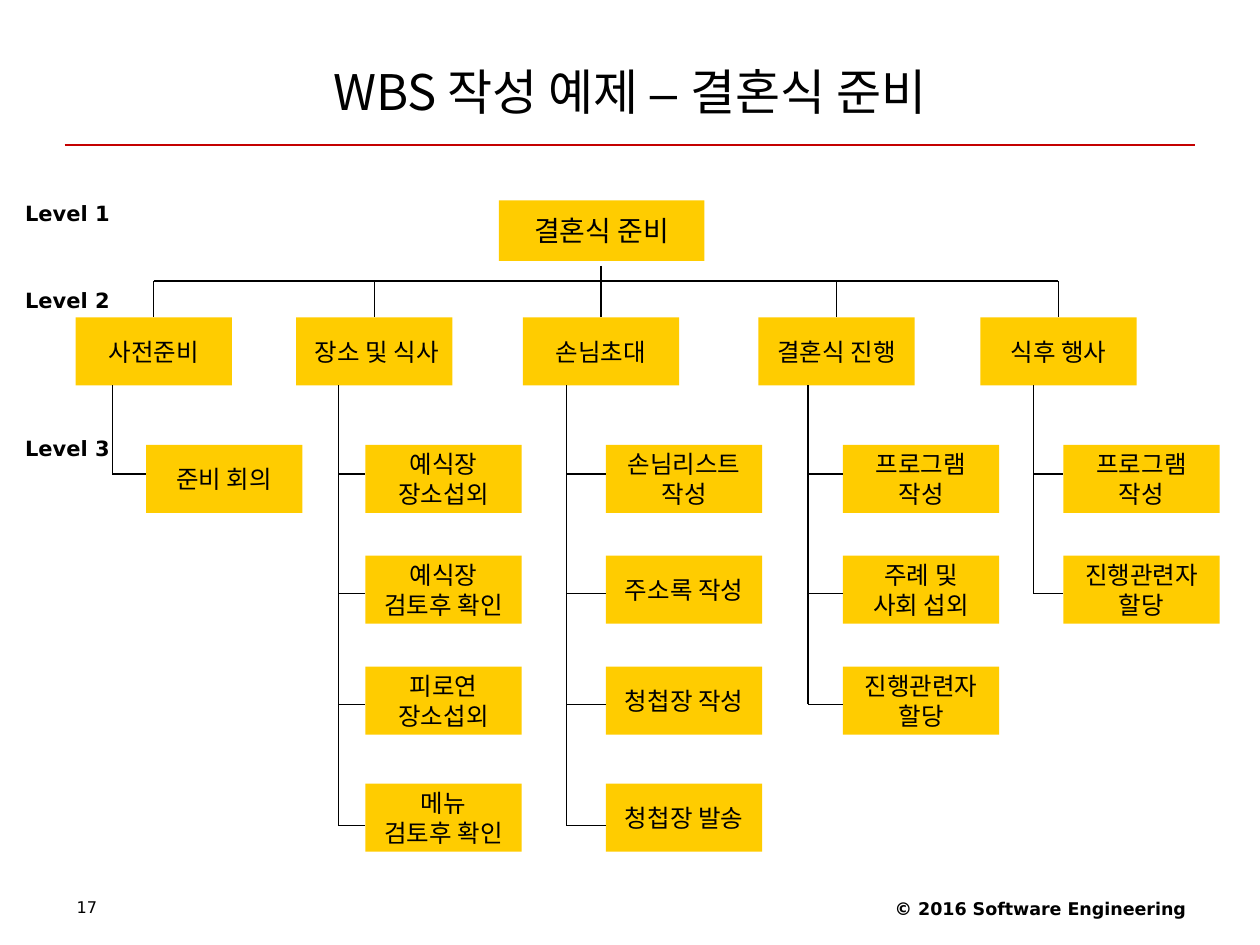
from lxml import etree
from pptx import Presentation
from pptx.dml.color import RGBColor
from pptx.enum.shapes import MSO_CONNECTOR, MSO_SHAPE
from pptx.enum.text import MSO_ANCHOR, PP_ALIGN
from pptx.oxml.ns import qn
from pptx.util import Pt

STRAIGHT = MSO_CONNECTOR.STRAIGHT
RECTANGLE = MSO_SHAPE.RECTANGLE
LEFT, CENTER, RIGHT = PP_ALIGN.LEFT, PP_ALIGN.CENTER, PP_ALIGN.RIGHT
TOP, MIDDLE = MSO_ANCHOR.TOP, MSO_ANCHOR.MIDDLE
TOP_SITE = 0

COLORS = {"text": "000000", "box": "FFCC00", "line": "000000", "rule": "C40000"}
KOREAN, LATIN, DASH = "Noto Sans CJK KR", "DejaVu Sans", "Arial"

BOX_W, BOX_H = 89.3, 38.9
HEAD_TOP = 181.4
BAR_Y, STEM_TOP = 160.6, 151.9
TASK_TOPS = [254.2, 317.5, 380.9, 447.8]
BRANCH_YS = [270.8, 339, 402.5, 471.8]

# phase, left of phase, x of trunk, left of tasks, tasks
PHASES = [
    ("사전준비", 43.2, 64.2, 83.5, ["준비 회의"]),
    (" 장소 및 식사", 169.2, 193.5, 208.8,
     ["예식장\n장소섭외", "예식장\n검토후 확인", "피로연\n장소섭외", "메뉴\n검토후 확인"]),
    ("손님초대", 298.8, 323.6, 346.3,
     ["손님리스트\n작성", "주소록 작성", "청첩장 작성", "청첩장 발송"]),
    ("결혼식 진행", 433.4, 461.8, 481.7,
     ["프로그램\n작성", "주례 및\n사회 섭외", "진행관련자\n할당"]),
    ("식후 행사", 560.2, 590.4, 607.7, ["프로그램\n작성", "진행관련자\n할당"]),
]
STEM_PHASE = 2
LEVELS = [("Level 1", 110.2), ("Level 2", 159.8), ("Level 3", 244.8)]


def color(key):
    return RGBColor.from_string(COLORS[key])


def add_run(paragraph, text, font_name, size, bold=False):
    run = paragraph.add_run()
    run.text = text
    for name, value in {"name": font_name, "size": Pt(size), "bold": bold}.items():
        setattr(run.font, name, value)
    run.font.color.rgb = color("text")
    east_asian = etree.SubElement(run.font._element, qn("a:ea"))
    east_asian.set("typeface", font_name)


def set_frame(frame, anchor, side, edge, wrap):
    settings = {
        "vertical_anchor": anchor, "word_wrap": wrap,
        "margin_left": Pt(side), "margin_right": Pt(side),
        "margin_top": Pt(edge), "margin_bottom": Pt(edge),
    }
    for name, value in settings.items():
        setattr(frame, name, value)


def add_label(slide, place, runs, size, align=LEFT, anchor=TOP, margins=(7.2, 3.6),
              bold=False):
    """Add a one-line text box; runs holds pairs of text and font name."""
    label = slide.shapes.add_textbox(*map(Pt, place))
    set_frame(label.text_frame, anchor, *margins, wrap=True)
    paragraph = label.text_frame.paragraphs[0]
    paragraph.alignment = align
    for text, font_name in runs:
        add_run(paragraph, text, font_name, size, bold)
    return paragraph


def add_box(slide, left, top, text, size=14, width=BOX_W, height=BOX_H):
    box = slide.shapes.add_shape(RECTANGLE, Pt(left), Pt(top), Pt(width), Pt(height))
    box.shadow.inherit = False
    box.fill.solid()
    box.fill.fore_color.rgb = color("box")
    box.line.fill.background()
    frame = box.text_frame
    set_frame(frame, MIDDLE, 8.6, 4.3, wrap=False)
    for index, line in enumerate(text.split("\n")):
        paragraph = frame.add_paragraph() if index else frame.paragraphs[0]
        paragraph.alignment = CENTER
        add_run(paragraph, line, KOREAN, size)
    return box


def add_line(slide, x1, y1, x2, y2, color_key="line"):
    line = slide.shapes.add_connector(STRAIGHT, Pt(x1), Pt(y1), Pt(x2), Pt(y2))
    line.line.color.rgb = color(color_key)
    line.line.width = Pt(0.75)
    etree.SubElement(line._element.spPr, qn("a:effectLst"))
    return line


def add_phase(slide, phase, left, trunk_x, task_left, tasks, drop_top):
    """Add a level 2 box, the line down to it, and its branch of level 3 boxes."""
    head = add_box(slide, left, HEAD_TOP, phase)
    center = left + BOX_W / 2
    add_line(slide, center, drop_top, center, HEAD_TOP).end_connect(head, TOP_SITE)
    add_line(slide, trunk_x, HEAD_TOP + BOX_H, trunk_x, BRANCH_YS[len(tasks) - 1])
    for task, top, branch_y in zip(tasks, TASK_TOPS, BRANCH_YS):
        add_box(slide, task_left, top, task)
        add_line(slide, trunk_x, branch_y, task_left, branch_y)


def main():
    prs = Presentation()
    prs.slide_width, prs.slide_height = Pt(720), Pt(540)
    slide = prs.slides.add_slide(prs.slide_layouts[6])

    add_line(slide, 36.9, 82.8, 683.1, 82.8, "rule")
    add_label(slide, (36, 21.6, 648, 61.2),
              [("WBS 작성 예제 ", KOREAN), ("– ", DASH), ("결혼식 준비", KOREAN)],
              28, CENTER, MIDDLE)
    add_label(slide, (456.5, 509.8, 228.2, 20.9),
              [("© 2016 Software Engineering", LATIN)], 10, RIGHT, bold=True)
    page_number = add_label(slide, (36.7, 510.5, 167.8, 20.2), [("17", LATIN)], 9.2)
    page_number.line_spacing = 0.9

    add_box(slide, 285.1, 114.5, "결혼식 준비", 16, 117.4, 34.6)
    first_center, last_center = (PHASES[i][1] + BOX_W / 2 for i in (0, -1))
    add_line(slide, first_center, BAR_Y, last_center, BAR_Y)
    for index, phase in enumerate(PHASES):
        add_phase(slide, *phase, STEM_TOP if index == STEM_PHASE else BAR_Y)
    for level, top in LEVELS:
        add_label(slide, (5.8, top, 76.3, 23), [(level, LATIN)], 12,
                  margins=(8.6, 4.3), bold=True)

    prs.save("out.pptx")


if __name__ == "__main__":
    main()
